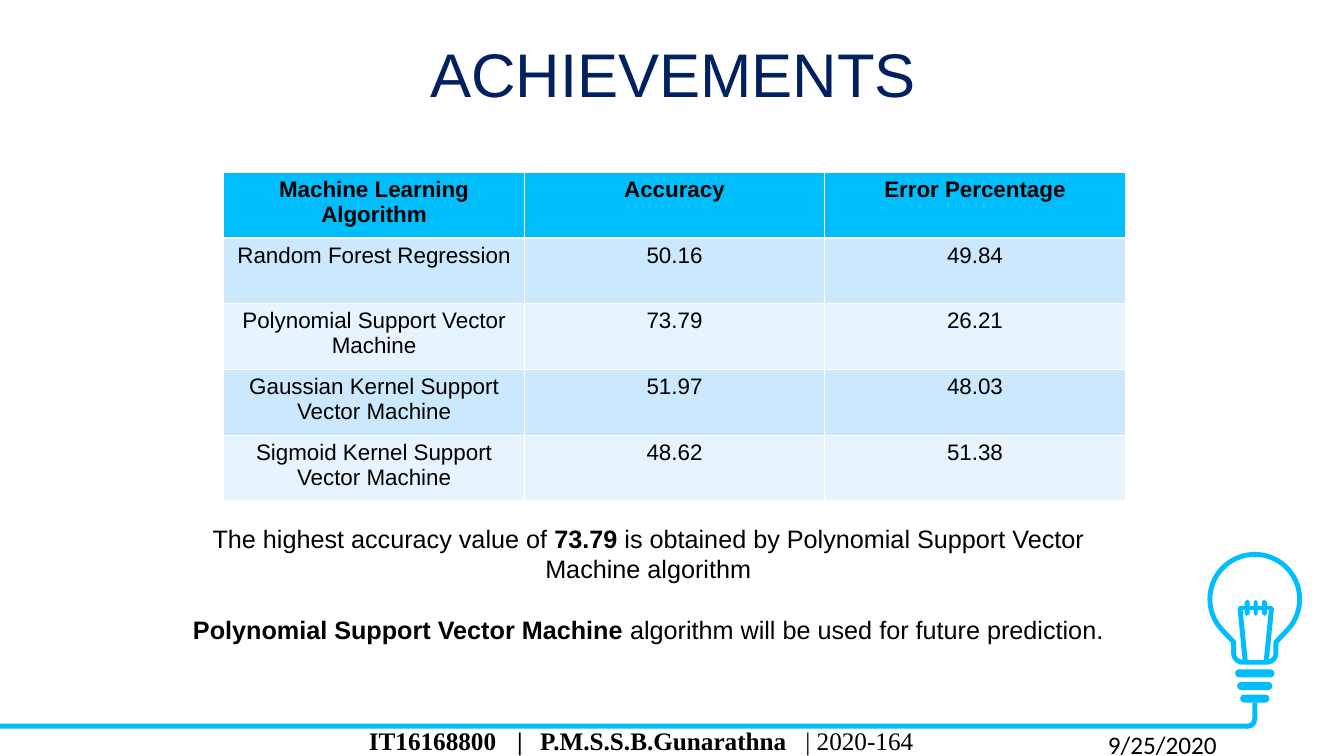
from math import cos, radians, sin

from lxml.etree import SubElement
from pptx import Presentation
from pptx.dml.color import RGBColor
from pptx.enum.shapes import MSO_SHAPE
from pptx.enum.text import MSO_ANCHOR, PP_ALIGN
from pptx.oxml.ns import qn
from pptx.util import Inches, Pt

SKY = RGBColor(0x00, 0xBD, 0xFB)
NAVY = RGBColor(0x00, 0x20, 0x60)
BLACK = RGBColor(0x00, 0x00, 0x00)
WHITE = RGBColor(0xFF, 0xFF, 0xFF)
BANDS = (RGBColor(0xCC, 0xE8, 0xFD), RGBColor(0xE7, 0xF4, 0xFE))

RESULTS = [
    ("Machine Learning Algorithm", "Accuracy", "Error Percentage"),
    ("Random Forest Regression", "50.16", "49.84"),
    ("Polynomial Support Vector Machine", "73.79", "26.21"),
    ("Gaussian Kernel Support Vector Machine", "51.97", "48.03"),
    ("Sigmoid Kernel Support Vector Machine", "48.62", "51.38"),
]
FINDINGS = [
    [("The highest accuracy value of ", False), ("73.79 ", True),
     ("is obtained by Polynomial Support Vector Machine algorithm", False)],
    [("Polynomial Support Vector Machine ", True),
     ("algorithm will be used for future prediction.", False)],
]

# Right half of the filament, as offsets from its top centre
FILAMENT = [
    (0, 0), (0.02, 0.02), (0.02, 0.06), (0.06, 0.06), (0.06, 0.02),
    (0.08, 0), (0.11, 0.02), (0.11, 0.06), (0.16, 0.06), (0.18, 0.09),
    (0.13, 0.6), (0.11, 0.62), (0.08, 0.6), (0.13, 0.1), (0.11, 0.1),
    (0.11, 0.14), (0.09, 0.16), (0.06, 0.14), (0.06, 0.1), (0.02, 0.1),
    (0.02, 0.14), (0, 0.16),
]


def add_span(para, text, size, color=BLACK, bold=False, font="Arial"):
    span = para.add_run()
    span.text = text
    span.font.size = Pt(size)
    span.font.name = font
    span.font.bold = bold
    span.font.color.rgb = color


def add_text_box(page, left, top, width, height):
    box = page.shapes.add_textbox(
        Inches(left), Inches(top), Inches(width), Inches(height))
    box.text_frame.word_wrap = True
    return box.text_frame


def paint(shape, fill):
    shape.shadow.inherit = False
    shape.fill.solid()
    shape.fill.fore_color.rgb = fill
    shape.line.fill.background()


def add_solid(page, kind, left, top, width, height):
    shape = page.shapes.add_shape(
        kind, Inches(left), Inches(top), Inches(width), Inches(height))
    paint(shape, SKY)
    return shape


def arc(center_x, center_y, radius, start, end, step=5):
    return [(center_x + radius * cos(radians(angle)),
             center_y + radius * sin(radians(angle)))
            for angle in range(start, end + 1, step)]


def add_symmetric(page, axis, top, half, fill):
    """Closed outline from its right half, mirrored about a vertical axis."""
    outline = half + [(-x, y) for x, y in reversed(half)]
    points = [(Inches(axis + x), Inches(top + y)) for x, y in outline]
    builder = page.shapes.build_freeform(*points[0])
    builder.add_line_segments(points[1:], close=True)
    shape = builder.convert_to_shape()
    paint(shape, fill)
    return shape


def add_bulb(page, left, top, width):
    radius = width / 2
    axis = left + radius

    # Glass
    glass = (arc(0, radius, radius, -90, 45) + [(0.21, 0.87)]
             + arc(0.12, 0.98, 0.09, 0, 90, 15))
    outline = add_symmetric(page, axis, top, glass, WHITE)
    outline.line.color.rgb = SKY
    outline.line.width = Pt(3.5)

    # Screw base
    for index, bar_width in enumerate((0.39, 0.35, 0.29)):
        bar = add_solid(page, MSO_SHAPE.ROUNDED_RECTANGLE, axis - bar_width / 2,
                        top + 1.14 + index * 0.125, bar_width, 0.08)
        bar.adjustments[0] = 0.5

    # Filament
    add_symmetric(page, axis + 0.01, top + 0.45, FILAMENT, SKY)


def add_cable(page, top, right, thickness=0.05):
    add_solid(page, MSO_SHAPE.RECTANGLE, 0, top, right - 0.1, thickness)
    add_solid(page, MSO_SHAPE.RECTANGLE, right - thickness, top - 0.21,
              thickness, 0.17)
    elbow = add_solid(page, MSO_SHAPE.BLOCK_ARC, right - 0.19,
                      top + thickness - 0.19, 0.19, 0.19)
    for index, value in enumerate((213.39, 60.92, 0.27)):
        elbow.adjustments[index] = value


def add_title(page, left, top, width, height):
    title = page.shapes.title
    title.left, title.top = Inches(left), Inches(top)
    title.width, title.height = Inches(width), Inches(height)
    title.text_frame.vertical_anchor = MSO_ANCHOR.MIDDLE
    para = title.text_frame.paragraphs[0]
    para.alignment = PP_ALIGN.CENTER
    para.line_spacing = 0.9
    add_span(para, "ACHIEVEMENTS", 44, NAVY)


def add_results(page, left, top, width, height):
    table = page.shapes.add_table(
        len(RESULTS), len(RESULTS[0]), Inches(left), Inches(top),
        Inches(width), Inches(height)).table
    for row, values in enumerate(RESULTS):
        for column, value in enumerate(values):
            cell = table.cell(row, column)
            cell.fill.solid()
            cell.fill.fore_color.rgb = BANDS[(row - 1) % 2] if row else SKY
            para = cell.text_frame.paragraphs[0]
            para.alignment = PP_ALIGN.CENTER
            add_span(para, value, 16, bold=row == 0)


def add_findings(page, left, top, width, height):
    frame = add_text_box(page, left, top, width, height)
    for index, spans in enumerate(FINDINGS):
        para = frame.add_paragraph() if index else frame.paragraphs[0]
        para.alignment = PP_ALIGN.CENTER
        if index:
            para.space_before = Pt(22)
        for text, bold in spans:
            add_span(para, text, 18, bold=bold)


def add_footer(page, left, top, width, height):
    # Author line, its parts set on tab stops
    para = add_text_box(page, left, top, width, height).paragraphs[0]
    para.line_spacing = Pt(9)
    stops = SubElement(para._p.get_or_add_pPr(), qn("a:tabLst"))
    for position in (1.47, 1.7, 4.33):
        SubElement(stops, qn("a:tab"), pos=str(Inches(position)), algn="l")
    add_span(para, "IT16168800\t|\tP.M.S.S.B.Gunarathna\t", 18, bold=True,
             font="Times New Roman")
    add_span(para, "| 2020-164", 18, font="Times New Roman")

    # Date
    date = add_text_box(page, left + 7.33, top - 0.13, 1.36, 0.4)
    add_span(date.paragraphs[0], "9/25/2020", 18, font="Calibri")


def main():
    deck = Presentation()
    deck.slide_width, deck.slide_height = Inches(13.33), Inches(7.5)
    page = deck.slides.add_slide(deck.slide_layouts[5])
    add_bulb(page, 12, 5.5, 0.89)
    add_cable(page, 7.18, 12.47)
    add_title(page, 0.35, 0.37, 12.66, 0.79)
    add_results(page, 2.22, 1.71, 8.94, 3.26)
    add_findings(page, 1.7, 5.14, 9.46, 1.31)
    add_footer(page, 3.56, 7.32, 6.67, 0.25)
    deck.save("out.pptx")


if __name__ == "__main__":
    main()
